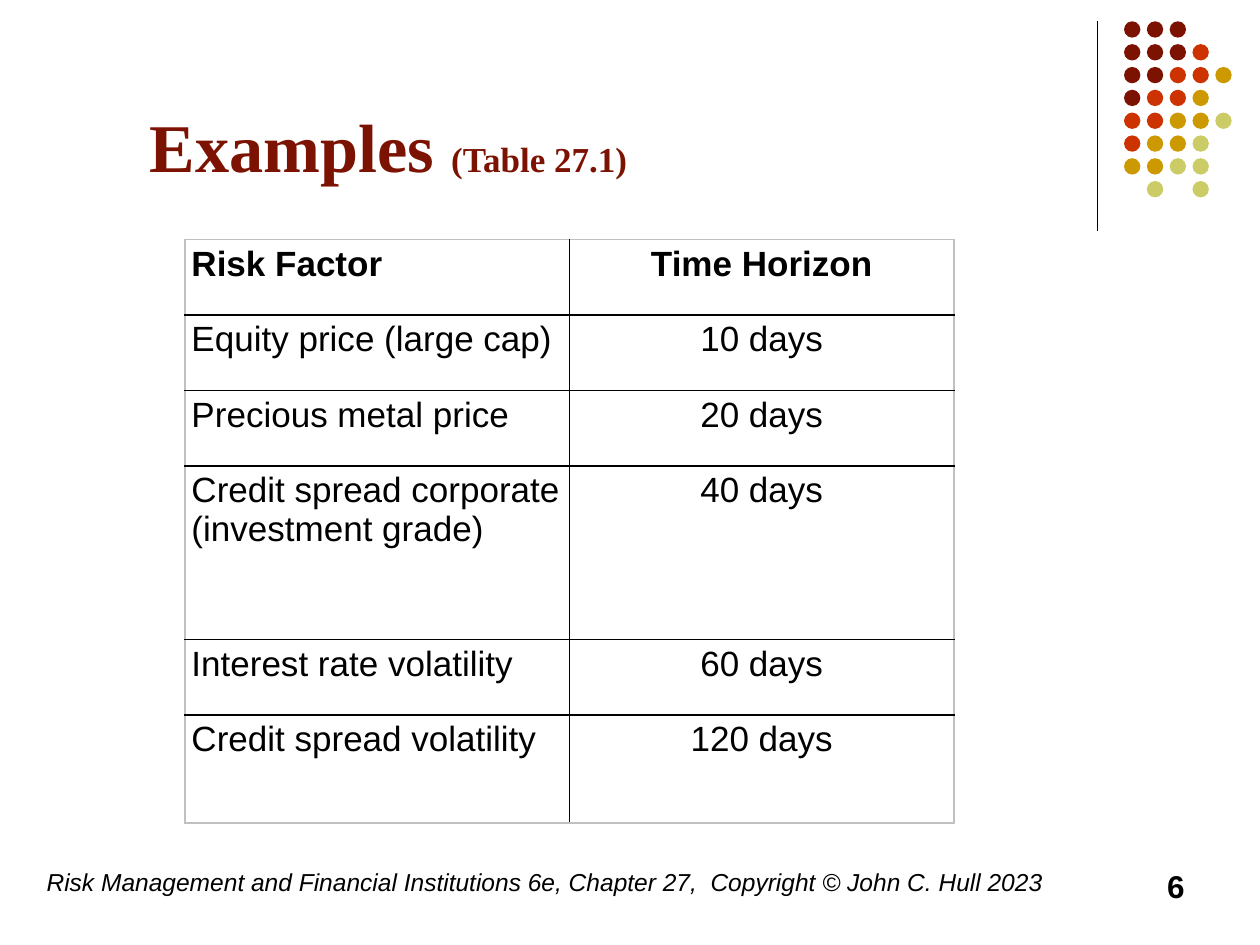
from dataclasses import dataclass
from lxml.etree import SubElement
from pptx import Presentation
from pptx.dml.color import RGBColor
from pptx.enum.shapes import MSO_CONNECTOR, MSO_SHAPE
from pptx.enum.text import MSO_ANCHOR, PP_ALIGN
from pptx.oxml.ns import qn
from pptx.slide import Slide
from pptx.table import Table
from pptx.util import Cm, Pt


@dataclass(frozen=True)
class Theme:
    serif: str = "Times New Roman"
    sans: str = "Arial"
    ink: str = "000000"
    wine: str = "7C1302"
    red: str = "CC3300"
    gold: str = "CC9900"
    lime: str = "CCCC66"
    edge: str = "C0C0C0"
    title: int = 39
    body: int = 20
    page: int = 18
    foot: int = 14


@dataclass(frozen=True)
class Run:
    text: str
    size: int
    name: str
    color: str
    bold: bool = False
    italic: bool = False


@dataclass(frozen=True)
class Box:
    left: float
    top: float
    width: float
    height: float
    runs: tuple[Run, ...]
    align: PP_ALIGN = PP_ALIGN.LEFT
    anchor: MSO_ANCHOR = MSO_ANCHOR.TOP


@dataclass(frozen=True)
class Row:
    factor: str
    time: str
    height: float = 1.52
    bold: bool = False


THEME = Theme()
DOTS = ("www", "wwwr", "wwrrg", "wrrg", "rrggl", "rggl", "ggll", " l l")
HUES = {"w": THEME.wine, "r": THEME.red, "g": THEME.gold, "l": THEME.lime}
ROWS = (
    Row("Risk Factor", "Time Horizon", bold=True),
    Row("Equity price (large cap)", "10 days"),
    Row("Precious metal price", "20 days"),
    Row("Credit spread corporate (investment grade)", "40 days", 3.5),
    Row("Interest rate volatility", "60 days"),
    Row("Credit spread volatility", "120 days", 2.18),
)
BOXES = (
    Box(2.77, 0.86, 13.54, 3.02, (
        Run("Examples ", THEME.title, THEME.serif, THEME.wine, bold=True),
        Run("(Table 27.1)", THEME.body, THEME.serif, THEME.wine, bold=True),
    ), anchor=MSO_ANCHOR.BOTTOM),
    Box(0.69, 17.35, 21, 1.27, (
        Run("Risk Management and Financial Institutions 6e, Chapter 27,  "
            "Copyright © John C. Hull 2023",
            THEME.foot, THEME.sans, THEME.ink, italic=True),
    )),
    Box(18.21, 17.35, 5.92, 1.27, (
        Run("6", THEME.page, THEME.sans, THEME.ink, bold=True),
    ), PP_ALIGN.RIGHT),
)


def style(item: object, values: dict) -> None:
    for key, value in values.items():
        setattr(item, key, value)


def write(para, runs: tuple[Run, ...], align: PP_ALIGN) -> None:
    para.alignment = align
    for part in runs:
        run = para.add_run()
        run.text = part.text
        style(run.font, {"size": Pt(part.size), "name": part.name,
                         "bold": part.bold, "italic": part.italic})
        run.font.color.rgb = RGBColor.from_string(part.color)


def draw_box(slide: Slide, box: Box) -> None:
    shape = slide.shapes.add_textbox(
        Cm(box.left), Cm(box.top), Cm(box.width), Cm(box.height))
    style(shape.text_frame, {"word_wrap": True, "vertical_anchor": box.anchor})
    write(shape.text_frame.paragraphs[0], box.runs, box.align)


def draw_rule(slide: Slide) -> None:
    rule = slide.shapes.add_connector(
        MSO_CONNECTOR.STRAIGHT, Cm(22.12), Cm(0.43), Cm(22.12), Cm(4.65))
    rule.line.width = Pt(0.75)
    rule.line.color.rgb = RGBColor.from_string(THEME.ink)
    SubElement(rule._element.spPr, qn("a:effectLst"))


def draw_dots(slide: Slide) -> None:
    left, top, step, size = 22.66, 0.43, 0.46, 0.33
    for row, marks in enumerate(DOTS):
        for col, mark in enumerate(marks):
            if mark not in HUES:
                continue
            dot = slide.shapes.add_shape(
                MSO_SHAPE.OVAL, Cm(left + col * step), Cm(top + row * step),
                Cm(size), Cm(size))
            dot.shadow.inherit = False
            dot.fill.solid()
            dot.fill.fore_color.rgb = RGBColor.from_string(HUES[mark])
            dot.line.fill.background()


def draw_edges(table: Table, row: int, col: int) -> None:
    outer = {"L": col == 0, "R": col == len(table.columns) - 1,
             "T": row == 0, "B": row == len(table.rows) - 1}
    props = table.cell(row, col)._tc.get_or_add_tcPr()
    for side, rim in outer.items():
        line = SubElement(props, qn(f"a:ln{side}"), w=str(Pt(1)))
        fill = SubElement(line, qn("a:solidFill"))
        SubElement(fill, qn("a:srgbClr"), val=THEME.edge if rim else THEME.ink)


def draw_table(slide: Slide) -> None:
    high = sum(row.height for row in ROWS)
    table = slide.shapes.add_table(
        len(ROWS), 2, Cm(3.73), Cm(4.83), Cm(15.5), Cm(high)).table
    style(table, {"first_row": False, "horz_banding": False})
    for r, row in enumerate(ROWS):
        table.rows[r].height = Cm(row.height)
        pairs = ((row.factor, PP_ALIGN.LEFT), (row.time, PP_ALIGN.CENTER))
        for c, (text, align) in enumerate(pairs):
            cell = table.cell(r, c)
            style(cell, {"margin_left": Cm(0.13), "margin_right": Cm(0.13),
                         "margin_top": Cm(0.1), "margin_bottom": Cm(0.1)})
            draw_edges(table, r, c)
            cell.fill.background()
            run = Run(text, THEME.body, THEME.sans, THEME.ink, row.bold)
            write(cell.text_frame.paragraphs[0], (run,), align)


def main() -> None:
    deck = Presentation()
    style(deck, {"slide_width": Cm(25.4), "slide_height": Cm(19.05)})
    slide = deck.slides.add_slide(deck.slide_layouts[6])
    draw_rule(slide)
    draw_dots(slide)
    draw_table(slide)
    for box in BOXES:
        draw_box(slide, box)
    deck.save("out.pptx")


if __name__ == "__main__":
    main()
